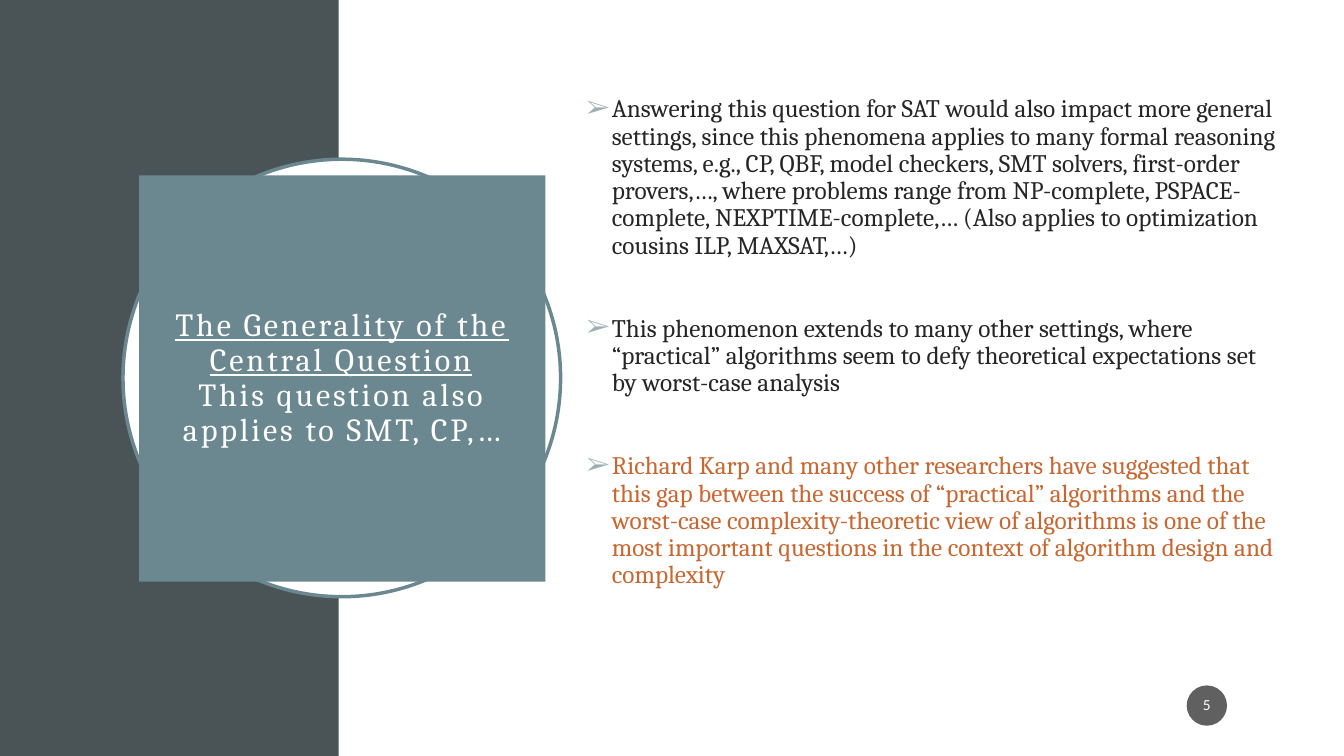
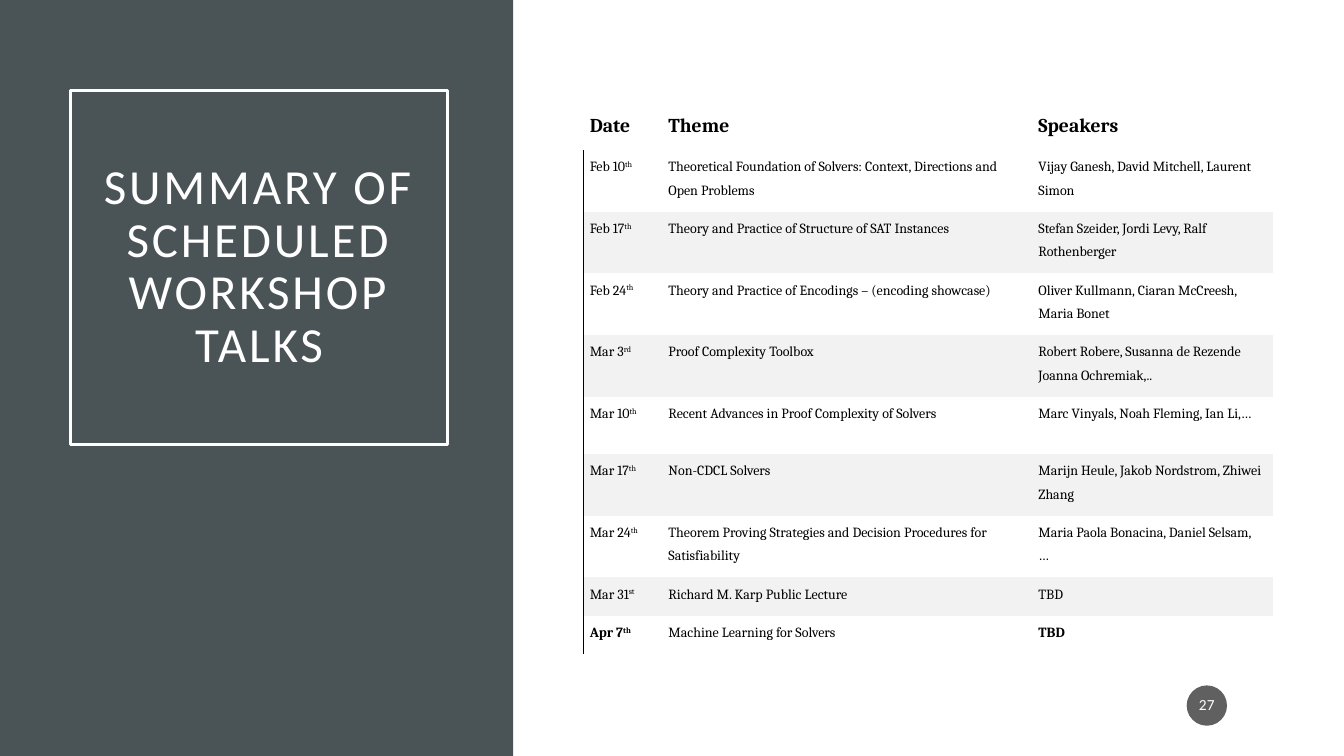
"""Build two slides: the generality of a question and a workshop schedule."""
from pptx import Presentation
from pptx.dml.color import RGBColor
from pptx.enum.shapes import MSO_SHAPE as Shape
from pptx.enum.text import MSO_ANCHOR as Anchor, PP_ALIGN as Align
from pptx.oxml import parse_xml
from pptx.oxml.ns import nsdecls, qn
from pptx.oxml.xmlchemy import OxmlElement
from pptx.util import Inches, Pt

SLATE = RGBColor(0x4A, 0x53, 0x56)
TEAL = RGBColor(0x6B, 0x88, 0x91)
WHITE = RGBColor(0xFF, 0xFF, 0xFF)
BLACK = RGBColor(0, 0, 0)
INK = RGBColor(0x26, 0x26, 0x26)
ORANGE = RGBColor(0xC9, 0x67, 0x31)
BADGE = RGBColor(0x1D, 0x1D, 0x1D)
STRIPE = RGBColor(0xF2, 0xF2, 0xF2)
BULLET_HEX = "9BAFB5"
SERIF, SANS = "Cambria", "Calibri"
NO_GRID_STYLE = "{2D5ABB26-0587-4C30-8999-92F81FD0307C}"

QUESTION_TITLE = [("The Generality of the Central Question", True),
                  ("This question also applies to SMT, CP,…", False)]
POINTS = [
    ("Answering this question for SAT would also impact more general settings, "
     "since this phenomena applies to many formal reasoning systems, e.g., CP, QBF, "
     "model checkers, SMT solvers, first-order provers,…, where problems range from "
     "NP-complete, PSPACE-complete, NEXPTIME-complete,… (Also applies to "
     "optimization cousins ILP, MAXSAT,…)", INK),
    ("This phenomenon extends to many other settings, where “practical” algorithms "
     "seem to defy theoretical expectations set by worst-case analysis", INK),
    ("Richard Karp and many other researchers have suggested that this gap between "
     "the success of “practical” algorithms and the worst-case complexity-theoretic "
     "view of algorithms is one of the most important questions in the context of "
     "algorithm design and complexity", ORANGE),
]
SCHEDULE_TITLE = [("SUMMARY OF SCHEDULED WORKSHOP TALKS", False)]
HEADINGS = ["Date", "Theme", "Speakers"]
TALKS = [
    ("Feb 10", "th", "Theoretical Foundation of Solvers: Context, Directions and Open Problems",
     ["Vijay Ganesh, David Mitchell, Laurent Simon"]),
    ("Feb 17", "th", "Theory and Practice of Structure of SAT Instances",
     ["Stefan Szeider, Jordi Levy, Ralf Rothenberger"]),
    ("Feb 24", "th", "Theory and Practice of Encodings – (encoding showcase)",
     ["Oliver Kullmann, Ciaran McCreesh, Maria Bonet"]),
    ("Mar 3", "rd", "Proof Complexity Toolbox",
     ["Robert Robere, Susanna de Rezende", "Joanna Ochremiak,.."]),
    ("Mar 10", "th", "Recent Advances in Proof Complexity of Solvers",
     ["Marc Vinyals, Noah Fleming, Ian Li,…"]),
    ("Mar 17", "th", "Non-CDCL Solvers",
     ["Marijn Heule, Jakob Nordstrom, Zhiwei Zhang"]),
    ("Mar 24", "th", "Theorem Proving Strategies and Decision Procedures for Satisfiability",
     ["Maria Paola Bonacina, Daniel Selsam, …"]),
    ("Mar 31", "st", "Richard M. Karp Public Lecture", ["TBD"]),
    ("Apr 7", "th", "Machine Learning for Solvers", ["TBD"]),
]
COLUMN_WIDTHS = [0.78, 3.67, 2.39]
ROW_HEIGHTS = [0.39] + [0.57] * 7 + [0.37] * 2


def add_span(para, text, size, font, color, bold=False):
    span = para.add_run()
    span.text = text
    span.font.size = Pt(size)
    span.font.name = font
    span.font.bold = bold
    span.font.color.rgb = color
    return span


def set_margins(target, left, top, right, bottom):
    target.margin_left, target.margin_top = Inches(left), Inches(top)
    target.margin_right, target.margin_bottom = Inches(right), Inches(bottom)


def add_figure(page, kind, place, fill=None, line=None):
    figure = page.shapes.add_shape(kind, *map(Inches, place))
    figure.shadow.inherit = False
    if fill is None:
        figure.fill.background()
    else:
        figure.fill.solid()
        figure.fill.fore_color.rgb = fill
    if line is None:
        figure.line.fill.background()
    else:
        figure.line.color.rgb = line
        figure.line.width = Pt(2.5)
    return figure


def centre_text(figure, margins):
    frame = figure.text_frame
    frame.word_wrap = True
    frame.vertical_anchor = Anchor.MIDDLE
    set_margins(frame, *margins)
    para = frame.paragraphs[0]
    para.alignment = Align.CENTER
    para.line_spacing = 0.9
    return para


def add_title(figure, lines, size, font, side_margin):
    para = centre_text(figure, (side_margin, 0.2, side_margin, 0.2))
    for index, (text, underlined) in enumerate(lines):
        if index:
            para.add_line_break()
        span = add_span(para, text, size, font, WHITE)
        span.font.underline = underlined
        span.font._element.set("spc", "200")


def add_page(deck, band_width):
    page = deck.slides.add_slide(deck.slide_layouts[6])
    add_figure(page, Shape.RECTANGLE, (0, 0, band_width, 7.5), SLATE)
    return page


def add_number(page, number):
    badge = add_figure(page, Shape.OVAL, (11.77, 6.8, 0.4, 0.4), BADGE)
    color = next(badge.element.spPr.iter(qn("a:srgbClr")))
    alpha = OxmlElement("a:alpha")
    alpha.set("val", "70000")
    color.append(alpha)
    para = centre_text(badge, (0.02, 0.05, 0.02, 0.05))
    add_span(para, str(number), 11, SANS, WHITE)


def add_bullet(para):
    props = para._p.get_or_add_pPr()
    props.set("marL", str(Inches(0.25)))
    props.set("indent", str(Inches(-0.25)))
    ns = nsdecls("a")
    props.append(parse_xml(f'<a:buClr {ns}><a:srgbClr val="{BULLET_HEX}"/></a:buClr>'))
    props.append(parse_xml(f'<a:buFont {ns} typeface="Wingdings"/>'.replace("Wingdings", SERIF)))
    props.append(parse_xml(f'<a:buChar {ns} char="➢"/>'))


def add_points(page):
    box = page.shapes.add_textbox(*map(Inches, (5.72, 0.4, 7.11, 6)))
    frame = box.text_frame
    frame.word_wrap = True
    frame.vertical_anchor = Anchor.MIDDLE
    for index, (text, color) in enumerate(POINTS):
        para = frame.add_paragraph() if index else frame.paragraphs[0]
        para.line_spacing = 0.9
        if index:
            para.space_before = Pt(40)
        add_bullet(para)
        add_span(para, text, 18, SERIF, color)


def fill_cell(cell, lines, size, bold=False, striped=False):
    set_margins(cell, 0.06, 0.02, 0.09, 0.13)
    if striped:
        cell.fill.solid()
        cell.fill.fore_color.rgb = STRIPE
    else:
        cell.fill.background()
    for index, text in enumerate(lines):
        para = cell.text_frame.add_paragraph() if index else cell.text_frame.paragraphs[0]
        para.line_spacing = Pt(16.6)
        add_span(para, text, size, SERIF, BLACK, bold)
    return para


def add_left_border(cell):
    border = parse_xml(f'<a:lnL {nsdecls("a")} w="{Pt(0.75)}"><a:solidFill>'
                       f'<a:srgbClr val="{BLACK}"/></a:solidFill></a:lnL>')
    cell._tc.get_or_add_tcPr().insert(0, border)


def add_schedule(page):
    frame = page.shapes.add_table(len(ROW_HEIGHTS), len(COLUMN_WIDTHS), Inches(5.79), Inches(1.1),
                                  Inches(sum(COLUMN_WIDTHS)), Inches(sum(ROW_HEIGHTS)))
    next(frame.element.iter(qn("a:tableStyleId"))).text = NO_GRID_STYLE
    table = frame.table
    table.first_row = table.horz_banding = False
    for column, width in zip(table.columns, COLUMN_WIDTHS):
        column.width = Inches(width)
    for row, height in zip(table.rows, ROW_HEIGHTS):
        row.height = Inches(height)
    for column, heading in enumerate(HEADINGS):
        cell = table.cell(0, column)
        fill_cell(cell, [heading], 14, bold=True)
        cell.vertical_anchor = Anchor.BOTTOM
    for row, (date, suffix, theme, speakers) in enumerate(TALKS, 1):
        striped, bold = row % 2 == 0, row == len(TALKS)
        date_cell = table.cell(row, 0)
        para = fill_cell(date_cell, [date], 10, bold, striped)
        ordinal = add_span(para, suffix, 10, SERIF, BLACK, bold)
        ordinal.font._element.set("baseline", "30000")
        add_left_border(date_cell)
        fill_cell(table.cell(row, 1), [theme], 10, False, striped)
        fill_cell(table.cell(row, 2), speakers, 10, bold, striped)


def main():
    deck = Presentation()
    deck.slide_width, deck.slide_height = Inches(13.33), Inches(7.5)

    page = add_page(deck, 3.36)
    add_figure(page, Shape.OVAL, (1.22, 1.58, 4.34, 4.34), WHITE, TEAL)
    panel = add_figure(page, Shape.RECTANGLE, (1.38, 1.74, 4.03, 4.03), TEAL)
    add_title(panel, QUESTION_TITLE, 23, SERIF, 0.2)
    add_points(page)
    add_number(page, 5)

    page = add_page(deck, 5.09)
    panel = add_figure(page, Shape.RECTANGLE, (0.7, 0.9, 3.74, 3.51), line=WHITE)
    add_title(panel, SCHEDULE_TITLE, 35, SANS, 0.3)
    add_schedule(page)
    add_number(page, 27)

    deck.save("out.pptx")


if __name__ == "__main__":
    main()
